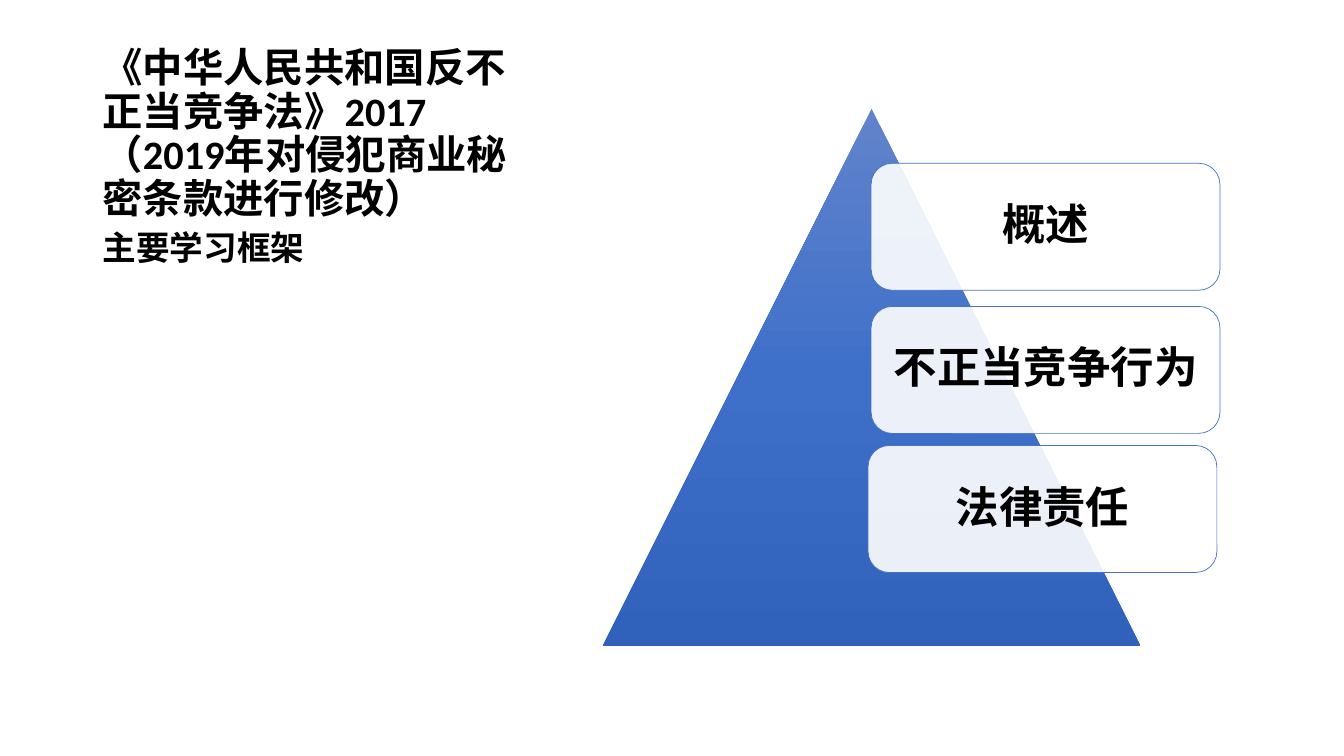
from copy import deepcopy

from lxml.etree import SubElement
from pptx import Presentation
from pptx.dml.color import RGBColor
from pptx.enum.shapes import MSO_SHAPE
from pptx.enum.text import MSO_ANCHOR, PP_ALIGN
from pptx.oxml.ns import qn
from pptx.util import Inches, Pt

FONT = "Calibri"
BLACK = "000000"
TOPICS = [
    ("概述", 2.66, 0.54),
    ("不正当竞争行为", 2.66, 1.96),
    ("法律责任", 2.63, 3.34),
]


def paint(color_format, color):
    """Set a colour from a hex string."""
    color_format.rgb = RGBColor.from_string(color)


def write(frame, text, size, anchor, align=PP_ALIGN.LEFT):
    """Fill a text frame with one bold paragraph."""
    frame.word_wrap = True
    frame.vertical_anchor = anchor
    paragraph = frame.paragraphs[0]
    paragraph.text = text
    paragraph.alignment = align
    paragraph.line_spacing = 0.9
    for run in paragraph.runs:
        run.font.name = FONT
        run.font.size = Pt(size)
        run.font.bold = True
        paint(run.font.color, BLACK)


def add_heading(slide, left, top, width, height):
    """Place the name of the law above the subtitle."""
    law_height = 1.75
    law = slide.shapes.add_textbox(
        Inches(left), Inches(top), Inches(width), Inches(law_height))
    write(law.text_frame,
          "《中华人民共和国反不正当竞争法》2017\n（2019年对侵犯商业秘密条款进行修改）",
          28.8, MSO_ANCHOR.BOTTOM)
    framework = slide.shapes.add_textbox(
        Inches(left), Inches(top + law_height),
        Inches(width), Inches(height - law_height))
    write(framework.text_frame, "主要学习框架", 24, MSO_ANCHOR.TOP)


def add_topic(slide, topic, left, top, width, height):
    """Place one translucent rounded card with its topic."""
    card = slide.shapes.add_shape(
        MSO_SHAPE.ROUNDED_RECTANGLE,
        Inches(left), Inches(top), Inches(width), Inches(height))
    card.shadow.inherit = False
    card.fill.solid()
    paint(card.fill.fore_color, "FFFFFF")
    white = card._element.spPr.find(qn("a:solidFill"))[0]
    SubElement(white, qn("a:alpha")).set("val", "90000")
    paint(card.line.color, "4472C4")
    card.line.width = Pt(0.5)
    frame = card.text_frame
    frame.margin_left = frame.margin_right = Inches(0.13)
    frame.margin_top = frame.margin_bottom = Inches(0.13)
    write(frame, topic, 31, MSO_ANCHOR.MIDDLE, PP_ALIGN.CENTER)


def add_pyramid(slide, left, top, side):
    """Place the gradient pyramid and the topic cards over it."""
    pyramid = slide.shapes.add_shape(
        MSO_SHAPE.ISOSCELES_TRIANGLE,
        Inches(left), Inches(top), Inches(side), Inches(side))
    pyramid.shadow.inherit = False
    pyramid.line.fill.background()
    pyramid.fill.gradient()
    pyramid.fill.gradient_angle = 270
    stop_list = pyramid._element.spPr.find(qn("a:gradFill")).find(qn("a:gsLst"))
    stop_list.insert(1, deepcopy(stop_list[0]))
    shades = [(0, "6183CB"), (0.5, "3E70CA"), (1, "3062BB")]
    for stop, (position, shade) in zip(pyramid.fill.gradient_stops, shades):
        stop.position = position
        paint(stop.color, shade)
    for topic, across, down in TOPICS:
        add_topic(slide, topic, left + across, top + down, 3.46, 1.26)


def main():
    """Build the slide and save it."""
    presentation = Presentation()
    presentation.slide_width = Inches(13.33)
    presentation.slide_height = Inches(7.5)
    slide = presentation.slides.add_slide(presentation.slide_layouts[6])
    add_heading(slide, 0.92, 0.5, 4.3, 5.92)
    add_pyramid(slide, 5.98, 1.08, 5.33)
    presentation.save("out.pptx")


if __name__ == "__main__":
    main()
